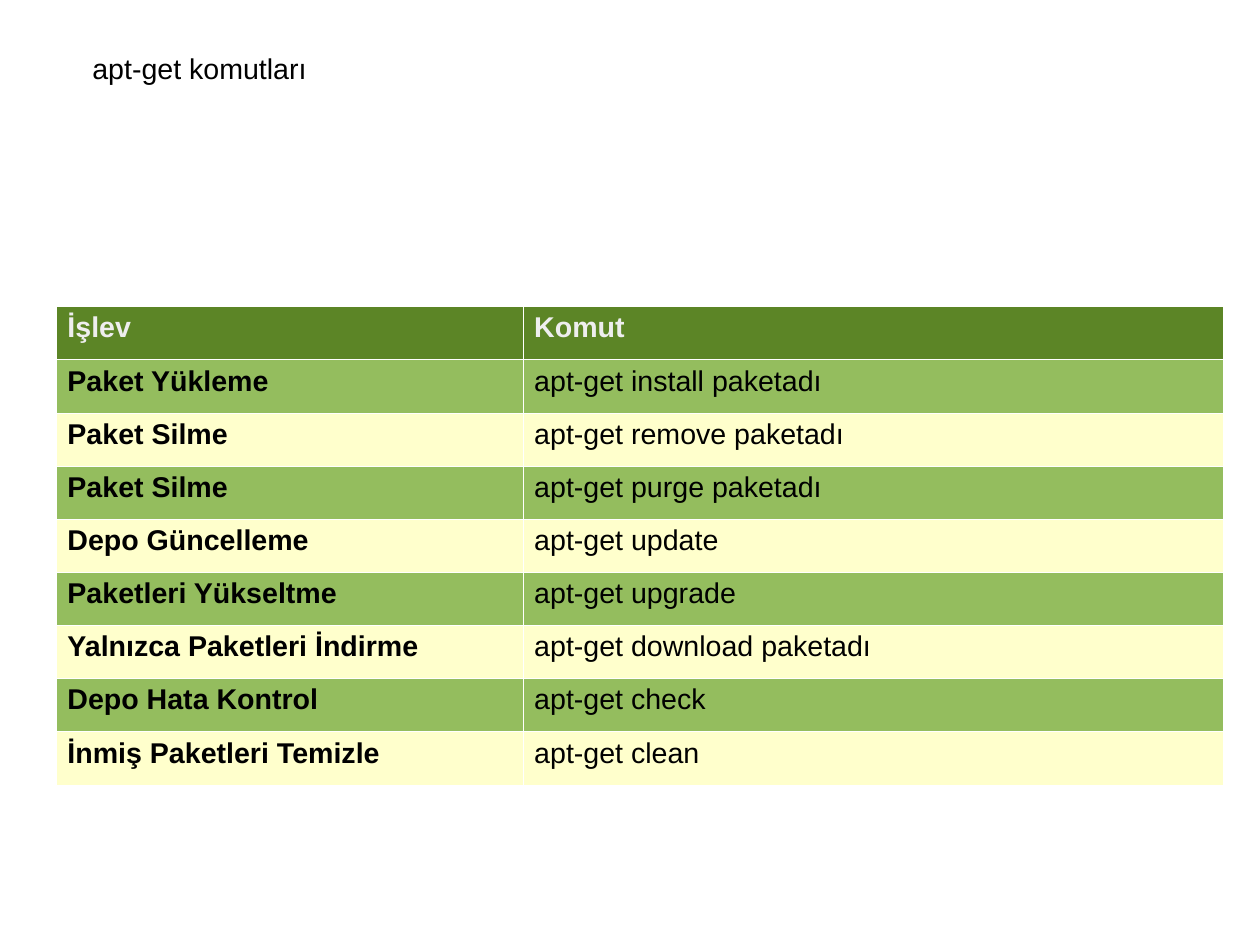
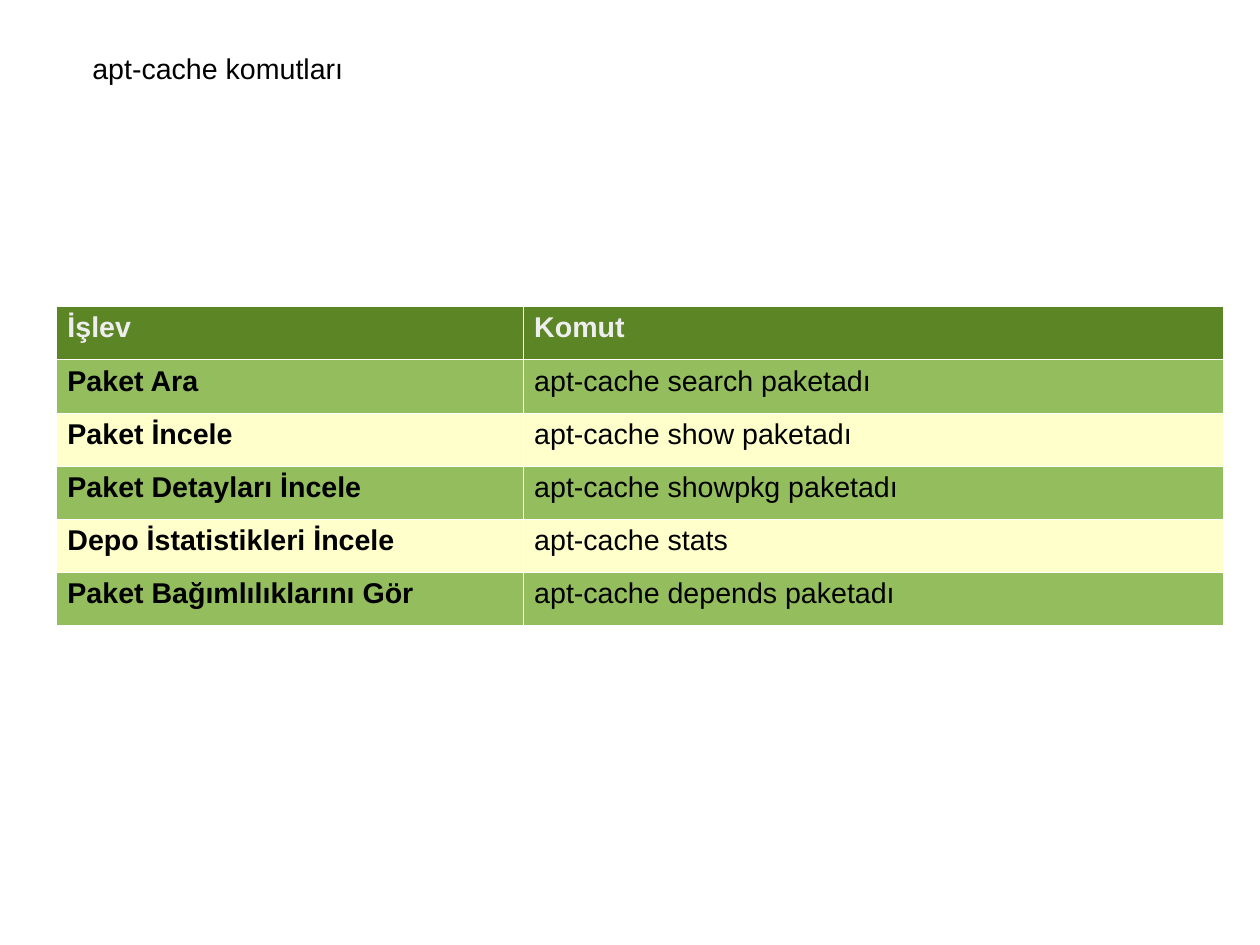
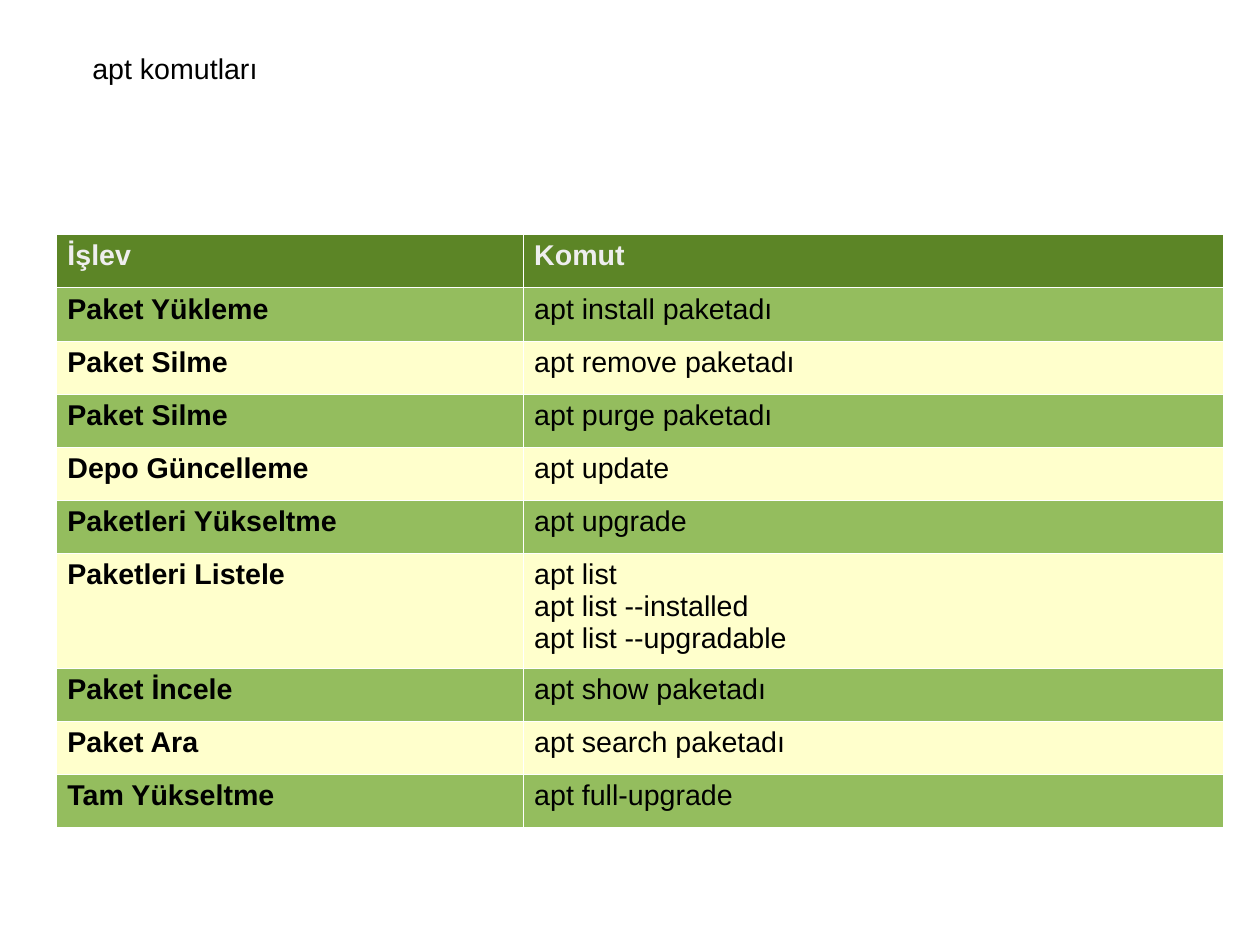
from dataclasses import dataclass

from lxml import etree
from pptx import Presentation
from pptx.dml.color import RGBColor
from pptx.enum.text import MSO_ANCHOR, MSO_AUTO_SIZE
from pptx.oxml.ns import qn
from pptx.util import Cm, Inches, Pt

TOP = MSO_ANCHOR.TOP
FIT_SHAPE = MSO_AUTO_SIZE.SHAPE_TO_FIT_TEXT

# Shared look
COLORS = {
    "text": "000000",
    "header_text": "EEEEEE",
    "header": "5C8526",
    "odd_row": "94BD5E",
    "even_row": "FFFFCC",
    "border": "FFFFFF",
}
FONT = {"name": "Arial", "size": Pt(18)}
MARGINS = {
    "margin_left": Inches(0.1),
    "margin_right": Inches(0.1),
    "margin_top": Inches(0.05),
    "margin_bottom": Inches(0.05),
}
BORDER_WIDTH = Pt(0.06)

# Slide size, then geometry in inches
SLIDE_WIDTH = Cm(28)
SLIDE_HEIGHT = Cm(21)
TITLE_BOX = (0.71, 0.4, 9.53, 0.38)
TABLE_LEFT = 0.49
TABLE_WIDTH = 10.21
COLUMN_SHARES = (0.4, 0.6)
ROW_HEIGHT = 2.79 / 6
EXTRA_LINE_HEIGHT = 0.27

HEADER = ("İşlev", "Komut")


@dataclass(frozen=True)
class CommandSlide:
    title: str
    table_top: float
    rows: tuple[tuple[str, str], ...]


SLIDES = (
    CommandSlide("apt-get komutları", 2.68, (
        ("Paket Yükleme", "apt-get install paketadı"),
        ("Paket Silme", "apt-get remove paketadı"),
        ("Paket Silme", "apt-get purge paketadı"),
        ("Depo Güncelleme", "apt-get update"),
        ("Paketleri Yükseltme", "apt-get upgrade"),
        ("Yalnızca Paketleri İndirme", "apt-get download paketadı"),
        ("Depo Hata Kontrol", "apt-get check"),
        ("İnmiş Paketleri Temizle", "apt-get clean"),
    )),
    CommandSlide("apt-cache komutları", 2.68, (
        ("Paket Ara", "apt-cache search paketadı"),
        ("Paket İncele", "apt-cache show paketadı"),
        ("Paket Detayları İncele", "apt-cache showpkg paketadı"),
        ("Depo İstatistikleri İncele", "apt-cache stats"),
        ("Paket Bağımlılıklarını Gör", "apt-cache depends paketadı"),
    )),
    CommandSlide("apt komutları", 2.05, (
        ("Paket Yükleme", "apt install paketadı"),
        ("Paket Silme", "apt remove paketadı"),
        ("Paket Silme", "apt purge paketadı"),
        ("Depo Güncelleme", "apt update"),
        ("Paketleri Yükseltme", "apt upgrade"),
        ("Paketleri Listele", "apt list\napt list --installed\napt list --upgradable"),
        ("Paket İncele", "apt show paketadı"),
        ("Paket Ara", "apt search paketadı"),
        ("Tam Yükseltme", "apt full-upgrade"),
    )),
)


def apply_format(target, values: dict) -> None:
    for name, value in values.items():
        setattr(target, name, value)


def write_text(text_frame, text: str, color: str, bold: bool = False) -> None:
    """Fill a text frame, one paragraph per line."""
    text_frame.text = text
    for paragraph in text_frame.paragraphs:
        for run in paragraph.runs:
            apply_format(run.font, FONT | {"bold": bold})
            run.font.color.rgb = RGBColor.from_string(COLORS[color])


def add_borders(cell) -> None:
    """Draw a hairline on all four sides of a cell."""
    properties = cell._tc.get_or_add_tcPr()
    for side in ("lnL", "lnR", "lnT", "lnB"):
        line = etree.SubElement(properties, qn(f"a:{side}"), w=str(int(BORDER_WIDTH)))
        fill = etree.SubElement(line, qn("a:solidFill"))
        etree.SubElement(fill, qn("a:srgbClr"), val=COLORS["border"])


def style_cell(cell, text: str, fill: str, color: str, bold: bool) -> None:
    apply_format(cell, MARGINS | {"vertical_anchor": TOP})
    add_borders(cell)
    cell.fill.solid()
    cell.fill.fore_color.rgb = RGBColor.from_string(COLORS[fill])
    write_text(cell.text_frame, text, color, bold)


def add_title(slide, title: str) -> None:
    text_frame = slide.shapes.add_textbox(*map(Inches, TITLE_BOX)).text_frame
    apply_format(text_frame, MARGINS | {"word_wrap": True, "auto_size": FIT_SHAPE})
    write_text(text_frame, title, "text")


def add_command_table(slide, content: CommandSlide) -> None:
    rows = (HEADER, *content.rows)
    heights = [ROW_HEIGHT + EXTRA_LINE_HEIGHT * command.count("\n") for _, command in rows]
    box = (TABLE_LEFT, content.table_top, TABLE_WIDTH, sum(heights))
    table = slide.shapes.add_table(len(rows), len(HEADER), *map(Inches, box)).table
    apply_format(table, {"first_row": False, "horz_banding": False})
    for column, share in zip(table.columns, COLUMN_SHARES):
        column.width = Inches(TABLE_WIDTH * share)

    for row_index, (texts, height) in enumerate(zip(rows, heights)):
        table.rows[row_index].height = Inches(height)
        is_header = row_index == 0
        band = "odd_row" if row_index % 2 else "even_row"
        fill = "header" if is_header else band
        color = "header_text" if is_header else "text"
        for column_index, text in enumerate(texts):
            bold = is_header or column_index == 0
            style_cell(table.cell(row_index, column_index), text, fill, color, bold)


def main() -> None:
    presentation = Presentation()
    presentation.slide_width = SLIDE_WIDTH
    presentation.slide_height = SLIDE_HEIGHT
    blank_layout = presentation.slide_layouts[6]
    for content in SLIDES:
        slide = presentation.slides.add_slide(blank_layout)
        add_title(slide, content.title)
        add_command_table(slide, content)
    presentation.save("out.pptx")


if __name__ == "__main__":
    main()
